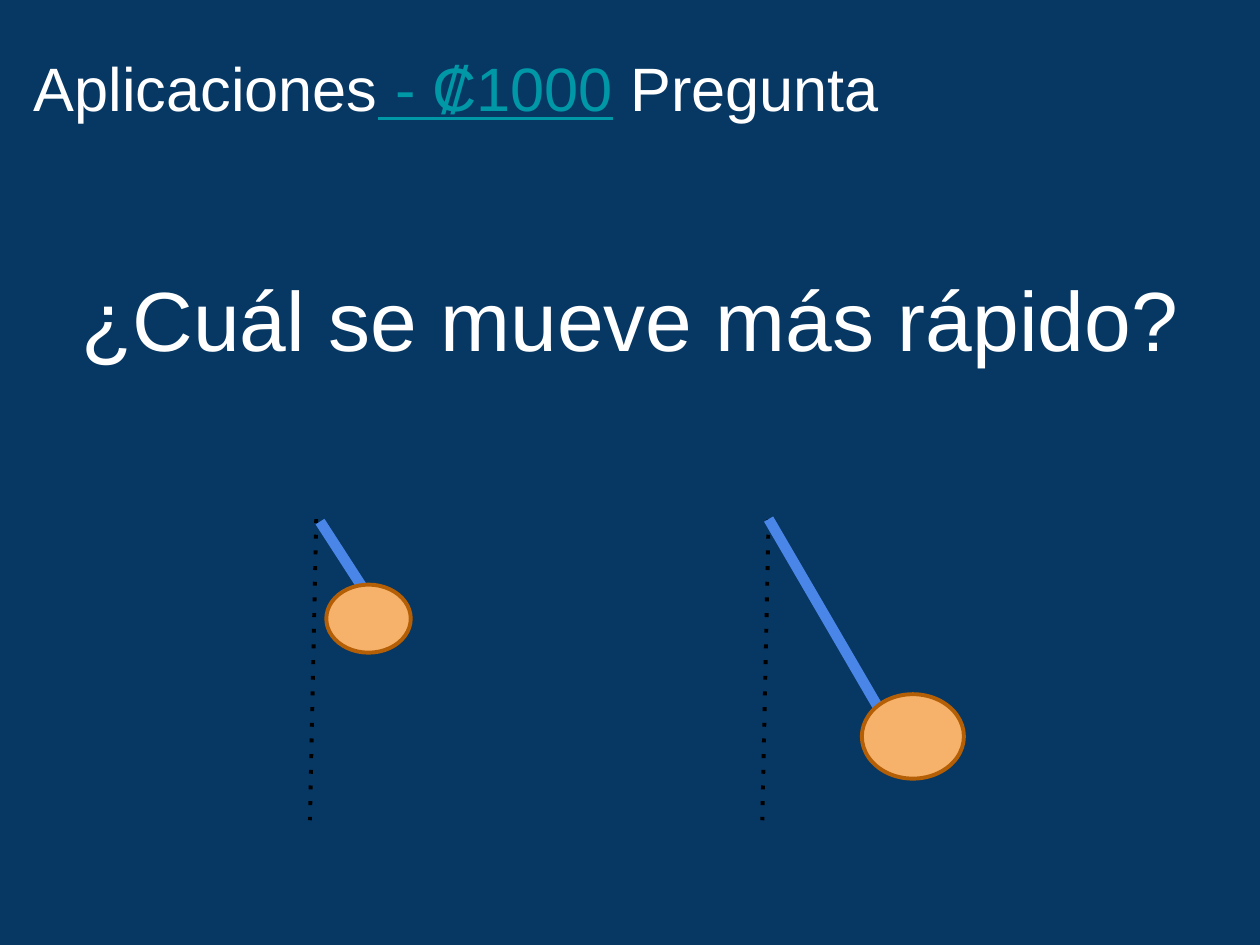
"""Build the slide that asks which of two pendulums moves faster."""
from lxml.etree import SubElement
from pptx import Presentation
from pptx.dml.color import RGBColor
from pptx.enum.shapes import MSO_CONNECTOR, MSO_SHAPE
from pptx.enum.text import MSO_ANCHOR, PP_ALIGN
from pptx.oxml.ns import qn
from pptx.util import Inches, Pt

THEME = {
    "font": "Arial",
    "title": Pt(35),
    "question": Pt(48),
    "thin": Pt(2.25),
    "thick": Pt(6),
    "back": RGBColor.from_string("073763"),
    "text": RGBColor.from_string("FFFFFF"),
    "link": RGBColor.from_string("0097A7"),
    "plumb": RGBColor.from_string("000000"),
    "rod": RGBColor.from_string("4A86E8"),
    "bob": RGBColor.from_string("F6B26B"),
    "rim": RGBColor.from_string("B45F06"),
}

prs = Presentation()
prs.slide_width, prs.slide_height = Inches(10), Inches(7.5)
COL, ROW = prs.slide_width / 100, prs.slide_height / 75
s = prs.slides.add_slide(prs.slide_layouts[6])
s.background.fill.solid()
s.background.fill.fore_color.rgb = THEME["back"]


def grid(*cells):
    return [round(n * (ROW if i % 2 else COL)) for i, n in enumerate(cells)]


def add_line(ends, color, width):
    c = s.shapes.add_connector(MSO_CONNECTOR.STRAIGHT, *grid(*ends))
    c.line.color.rgb = THEME[color]
    c.line.width = THEME[width]
    SubElement(c._element.spPr, qn("a:effectLst"))
    return c


texts = [
    ((5, 11.2, 90, 26.9), "question", MSO_ANCHOR.MIDDLE,
     {"alignment": PP_ALIGN.CENTER, "line_spacing": 1.15, "space_after": Pt(12)},
     [("¿Cuál se mueve más rápido?", "text")]),
    ((1.7, 3, 90, 8.2), "title", MSO_ANCHOR.TOP, {"alignment": PP_ALIGN.LEFT},
     [("Aplicaciones", "text"), (" - ₡1000", "link"), (" Pregunta", "text")]),
]
for box, size, anchor, layout, runs in texts:
    tf = s.shapes.add_textbox(*grid(*box)).text_frame
    frame = {"word_wrap": True, "vertical_anchor": anchor}
    frame.update({f"margin_{side}": Inches(0.1) for side in ("left", "top", "right", "bottom")})
    for name, value in frame.items():
        setattr(tf, name, value)
    p = tf.paragraphs[0]
    for name, value in layout.items():
        setattr(p, name, value)
    for text, color in runs:
        r = p.add_run()
        r.text = text
        for name, value in {"name": THEME["font"], "size": THEME[size],
                            "underline": color == "link"}.items():
            setattr(r.font, name, value)
        r.font.color.rgb = THEME[color]

pendulums = [
    {"plumb": (61, 41.2, 60.5, 65.1), "rod": (61, 41.2, 70.2, 57), "bob": (68.4, 55.1, 8.1, 6.7)},
    {"plumb": (25.1, 41.2, 24.6, 65.1), "rod": (25.4, 41.4, 31.6, 51), "bob": (25.9, 46.4, 6.7, 5.4)},
]
for pendulum in pendulums:
    c = add_line(pendulum["plumb"], "plumb", "thin")
    SubElement(c._element.spPr.find(qn("a:ln")), qn("a:prstDash"), val="dot")
    add_line(pendulum["rod"], "rod", "thick")
    sp = s.shapes.add_shape(MSO_SHAPE.OVAL, *grid(*pendulum["bob"]))
    sp.shadow.inherit = False
    sp.fill.solid()
    sp.fill.fore_color.rgb = THEME["bob"]
    sp.line.color.rgb = THEME["rim"]
    sp.line.width = THEME["thin"]

prs.save("out.pptx")
